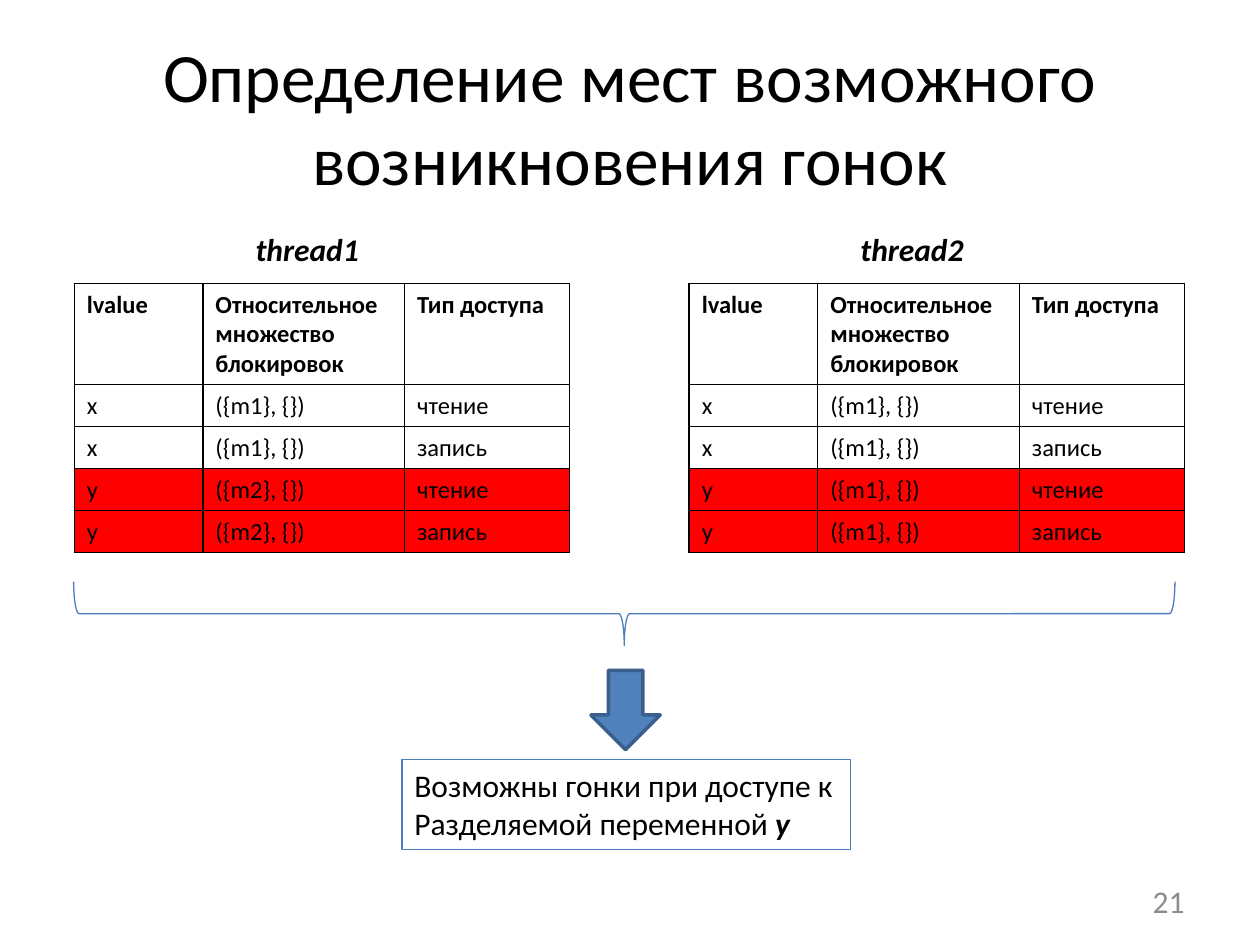
from pptx import Presentation
from pptx.dml.color import RGBColor
from pptx.enum.shapes import MSO_SHAPE as Shape
from pptx.enum.text import MSO_ANCHOR as Anchor, MSO_AUTO_SIZE as AutoSize, PP_ALIGN as Align
from pptx.oxml import parse_xml
from pptx.oxml.ns import nsdecls
from pptx.util import Inches, Pt

TITLE = "Определение мест возможного возникновения гонок"
PAGE = "21"
HEADER = ("lvalue", "Относительное множество блокировок", "Тип доступа")
ACCESSES = ("чтение", "запись")
# Name, name left, table left, lock protecting each variable
THREADS = [
    ("thread1", 1.93, 0.59, {"x": "m1", "y": "m2"}),
    ("thread2", 6.73, 5.47, {"x": "m1", "y": "m1"}),
]
RACY = "y"
CONCLUSION = [
    [("Возможны гонки при доступе к", False)],
    [("Разделяемой переменной ", False), (RACY, True)],
]
COLUMNS = (1.02, 1.6, 1.31)
ROWS = (0.64,) + (0.29,) * 4
BLACK, GREY, RED = "000000", "8C8C8C", "FF0000"
BLUE, OUTLINE, DARK_BLUE = "4F81BD", "4B7EBC", "3A5F8C"


def color(value):
    """Turn a hex string into a colour."""
    return RGBColor.from_string(value)


def write(frame, content, size=18, ink=BLACK, bold=False, italic=False,
          align=Align.LEFT, anchor=Anchor.TOP, wrap=True):
    """Write a string, or paragraphs of (text, emphasised) runs."""
    paragraphs = [[(content, False)]] if isinstance(content, str) else content
    frame.word_wrap = wrap
    frame.vertical_anchor = anchor
    for index, pieces in enumerate(paragraphs):
        paragraph = frame.add_paragraph() if index else frame.paragraphs[0]
        paragraph.alignment = align
        for text, emphasised in pieces:
            run = paragraph.add_run()
            run.text = text
            font = run.font
            font.name, font.size = "Calibri", Pt(size)
            font.bold, font.italic = bold or emphasised, italic or emphasised
            font.color.rgb = color(ink)


def add_label(slide, box, content, **style):
    """Add a text box at box (left, top, width, height)."""
    label = slide.shapes.add_textbox(*map(Inches, box))
    write(label.text_frame, content, **style)


def add_figure(slide, kind, box, line, width, fill=None):
    """Add a preset shape with the given outline and fill."""
    figure = slide.shapes.add_shape(kind, *map(Inches, box))
    figure.shadow.inherit = False
    figure.line.color.rgb = color(line)
    figure.line.width = Pt(width)
    if fill:
        figure.fill.solid()
        figure.fill.fore_color.rgb = color(fill)
    else:
        figure.fill.background()
    return figure


def outline_cell(cell):
    """Draw a thin black border on all four sides of a cell."""
    properties = cell._tc.get_or_add_tcPr()
    for index, side in enumerate(("lnL", "lnR", "lnT", "lnB")):
        properties.insert(index, parse_xml(
            f'<a:{side} {nsdecls("a")} w="{Pt(1)}"><a:solidFill>'
            f'<a:srgbClr val="{BLACK}"/></a:solidFill></a:{side}>'))


def add_access_table(slide, left, locks):
    """Add one thread's accesses, marking the racy variable in red."""
    rows = [HEADER] + [(name, f"({{{lock}}}, {{}})", access)
                       for name, lock in locks.items() for access in ACCESSES]
    frame = slide.shapes.add_table(
        len(rows), len(COLUMNS), Inches(left), Inches(2.25), Inches(3.94), Inches(2.13))
    table = frame.table
    table.first_row = table.horz_banding = False
    for column, width in zip(table.columns, COLUMNS):
        column.width = Inches(width)
    for row, height, values in zip(table.rows, ROWS, rows):
        row.height = Inches(height)
        for cell, value in zip(row.cells, values):
            write(cell.text_frame, value, size=14, bold=values is HEADER)
            if values[0] == RACY:
                cell.fill.solid()
                cell.fill.fore_color.rgb = color(RED)
            else:
                cell.fill.background()
            outline_cell(cell)
    frame.height = Inches(2.13)


def main():
    """Build and save the slide."""
    deck = Presentation()
    deck.slide_width, deck.slide_height = Inches(10), Inches(7.5)
    slide = deck.slides.add_slide(deck.slide_layouts[6])

    add_label(slide, (0.5, 0.3, 9, 1.25), TITLE, size=39.6,
              align=Align.CENTER, anchor=Anchor.MIDDLE)
    add_label(slide, (7.17, 6.95, 2.33, 0.4), PAGE, ink=GREY,
              align=Align.RIGHT, anchor=Anchor.MIDDLE)
    for name, name_left, table_left, locks in THREADS:
        add_access_table(slide, table_left, locks)
        add_label(slide, (name_left, 1.78, 1.02, 0.4), name,
                  bold=True, italic=True, wrap=False)

    brace = add_figure(slide, Shape.LEFT_BRACE, (4.7, 0.5, 0.51, 8.74), OUTLINE, 0.75)
    brace.rotation = 270
    conclusion = add_figure(slide, Shape.RECTANGLE, (3.19, 6.03, 3.56, 0.71), OUTLINE, 0.75)
    write(conclusion.text_frame, CONCLUSION, wrap=False)
    conclusion.text_frame.auto_size = AutoSize.SHAPE_TO_FIT_TEXT
    add_figure(slide, Shape.DOWN_ARROW, (4.69, 5.32, 0.55, 0.63), DARK_BLUE, 2, BLUE)

    deck.save("out.pptx")


main()
